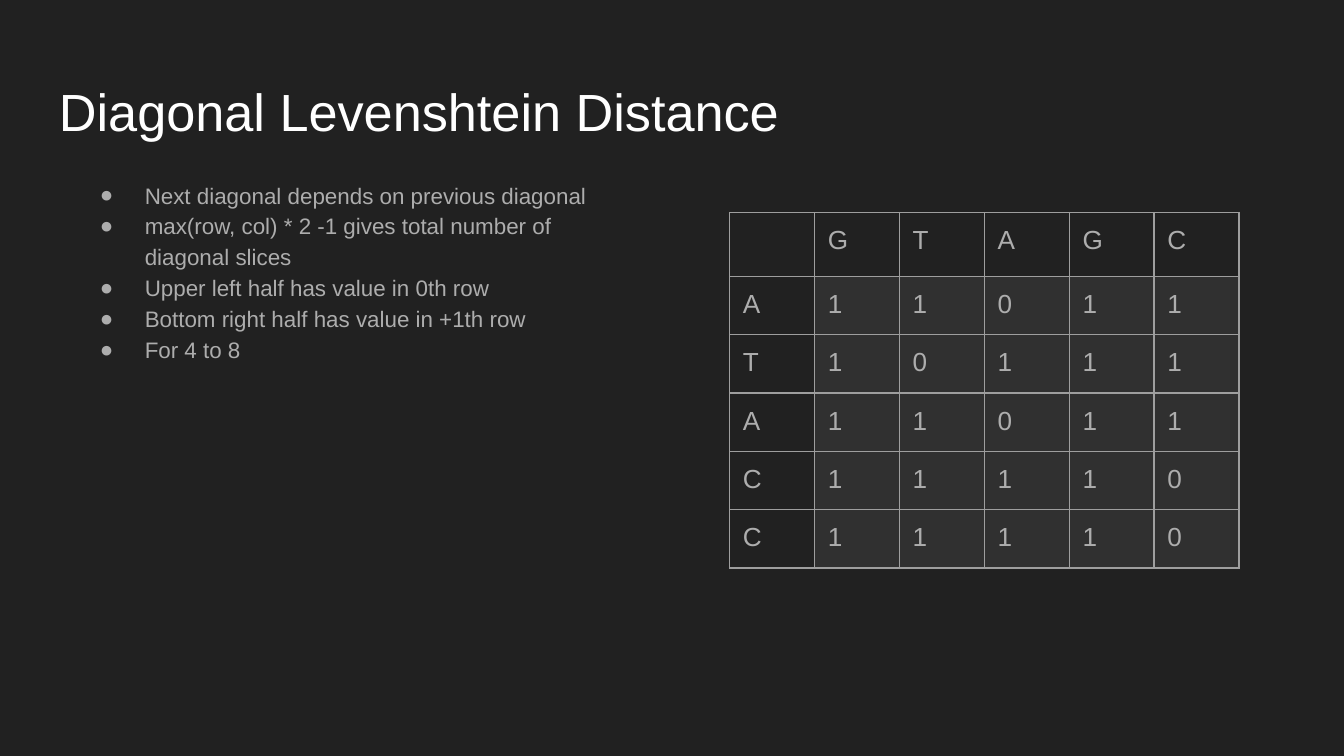
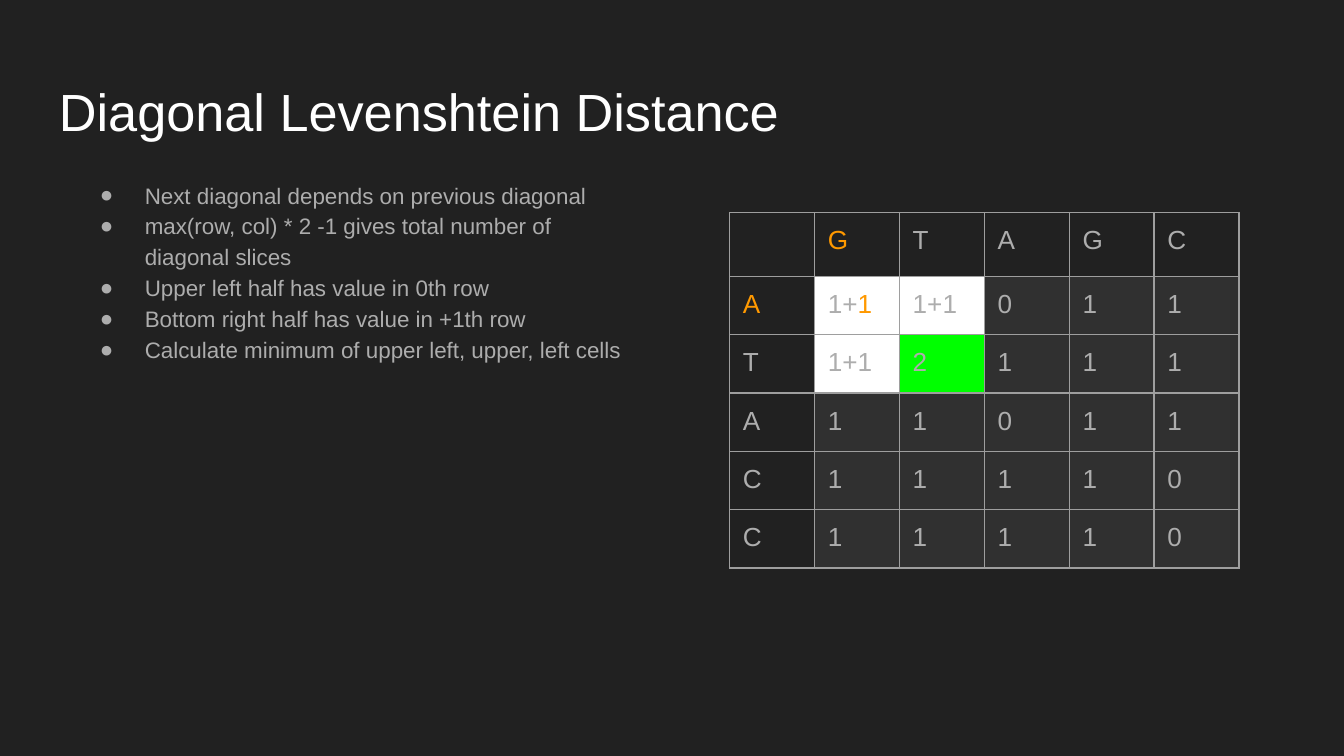
from lxml.etree import SubElement
from pptx import Presentation
from pptx.dml.color import RGBColor
from pptx.enum.text import MSO_ANCHOR
from pptx.oxml.ns import qn
from pptx.util import Pt

FONT = "Arial"
BACKGROUND, WHITE, GREY = "212121", "FFFFFF", "ADADAD"
CELL, BORDER, ORANGE, GREEN = "303030", "9E9E9E", "FF9900", "00FF00"
INSET = 7.2

TITLE_BOX = (24.5, 35, 671, 45)
BULLET_BOX = (34.5, 88, 308, 287)
TABLE_BOX = (390.75, 113.75, 273, 184.3)
HEADER_HEIGHT = 34.3

TITLE = "Diagonal Levenshtein Distance"
SHARED_POINTS = [
    "Next diagonal depends on previous diagonal",
    "max(row, col) * 2 -1 gives total number of diagonal slices",
    "Upper left half has value in 0th row",
    "Bottom right half has value in +1th row",
]
COLUMN_WORD, ROW_WORD = "GTAGC", "ATACC"

# Changes to single cells, keyed by (row, column): runs of (text, colour), then fill
STEP_CELLS = {
    (0, 1): ([("G", ORANGE)], None),
    (1, 0): ([("A", ORANGE)], None),
    (1, 1): ([("1+", GREY), ("1", ORANGE)], WHITE),
    (1, 2): ([("1+1", GREY)], WHITE),
    (2, 1): ([("1+1", GREY)], WHITE),
    (2, 2): ([("2", GREY)], GREEN),
}


def rgb(value):
    return RGBColor.from_string(value)


def style(font, size, color):
    font.name, font.size, font.color.rgb = FONT, Pt(size), rgb(color)


def add_text_frame(slide, box):
    frame = slide.shapes.add_textbox(*map(Pt, box)).text_frame
    frame.word_wrap = True
    frame.margin_left = frame.margin_right = Pt(INSET)
    frame.margin_top = frame.margin_bottom = Pt(INSET)
    return frame


def add_title(slide, box):
    frame = add_text_frame(slide, box)
    frame.vertical_anchor = MSO_ANCHOR.TOP
    paragraph = frame.paragraphs[0]
    paragraph.text = TITLE
    style(paragraph.font, 28, WHITE)


def add_bullets(slide, box, points):
    frame = add_text_frame(slide, box)
    for index, point in enumerate(points):
        paragraph = frame.add_paragraph() if index else frame.paragraphs[0]
        paragraph.text = point
        paragraph.line_spacing = 1.15
        properties = paragraph._p.get_or_add_pPr()
        properties.set("marL", str(Pt(36)))
        properties.set("indent", str(-Pt(24)))
        bullet_color = SubElement(properties, qn("a:buClr"))
        SubElement(bullet_color, qn("a:srgbClr"), val=GREY)
        SubElement(properties, qn("a:buFont"), typeface=FONT)
        SubElement(properties, qn("a:buChar"), char="●")
        style(paragraph.font, 12, GREY)


def set_borders(cell):
    properties = cell._tc.get_or_add_tcPr()
    for position, side in enumerate(("lnL", "lnR", "lnT", "lnB")):
        line = SubElement(properties, qn(f"a:{side}"), w=str(Pt(0.75)))
        fill = SubElement(line, qn("a:solidFill"))
        SubElement(fill, qn("a:srgbClr"), val=BORDER)
        properties.insert(position, line)


def fill_cell(cell, runs, fill):
    cell.margin_left = cell.margin_right = Pt(INSET)
    # An empty cell needs no vertical room of its own
    cell.margin_top = cell.margin_bottom = Pt(INSET if runs else 0)
    paragraph = cell.text_frame.paragraphs[0]
    for text, color in runs:
        run = paragraph.add_run()
        run.text = text
        style(run.font, 14, color)
    if fill:
        cell.fill.solid()
        cell.fill.fore_color.rgb = rgb(fill)
    else:
        cell.fill.background()
    set_borders(cell)


def default_cell(row, column):
    """Letters on the edges; inside, 0 where they match and 1 elsewhere."""
    if row and column:
        cost = int(ROW_WORD[row - 1] != COLUMN_WORD[column - 1])
        return [(str(cost), GREY)], CELL
    letter = COLUMN_WORD[column - 1] if column else ROW_WORD[row - 1]
    return ([(letter, GREY)] if row or column else []), None


def add_distance_table(slide, box, changes):
    row_count, column_count = len(ROW_WORD) + 1, len(COLUMN_WORD) + 1
    width, height = box[2:]
    table = slide.shapes.add_table(row_count, column_count, *map(Pt, box)).table
    table.first_row = table.horz_banding = False
    for column in table.columns:
        column.width = Pt(width / column_count)
    for index, row in enumerate(table.rows):
        row.height = Pt((height - HEADER_HEIGHT) / (row_count - 1) if index else HEADER_HEIGHT)
        for column in range(column_count):
            position = (index, column)
            runs, fill = changes.get(position) or default_cell(*position)
            fill_cell(table.cell(*position), runs, fill)


def add_distance_slide(presentation, last_point, changes):
    slide = presentation.slides.add_slide(presentation.slide_layouts[6])
    slide.background.fill.solid()
    slide.background.fill.fore_color.rgb = rgb(BACKGROUND)
    add_title(slide, TITLE_BOX)
    add_bullets(slide, BULLET_BOX, SHARED_POINTS + [last_point])
    add_distance_table(slide, TABLE_BOX, changes)


def main():
    presentation = Presentation()
    presentation.slide_width, presentation.slide_height = Pt(720), Pt(405)
    add_distance_slide(presentation, "For 4 to 8", {})
    add_distance_slide(
        presentation, "Calculate minimum of upper left, upper, left cells", STEP_CELLS
    )
    presentation.save("out.pptx")


if __name__ == "__main__":
    main()
